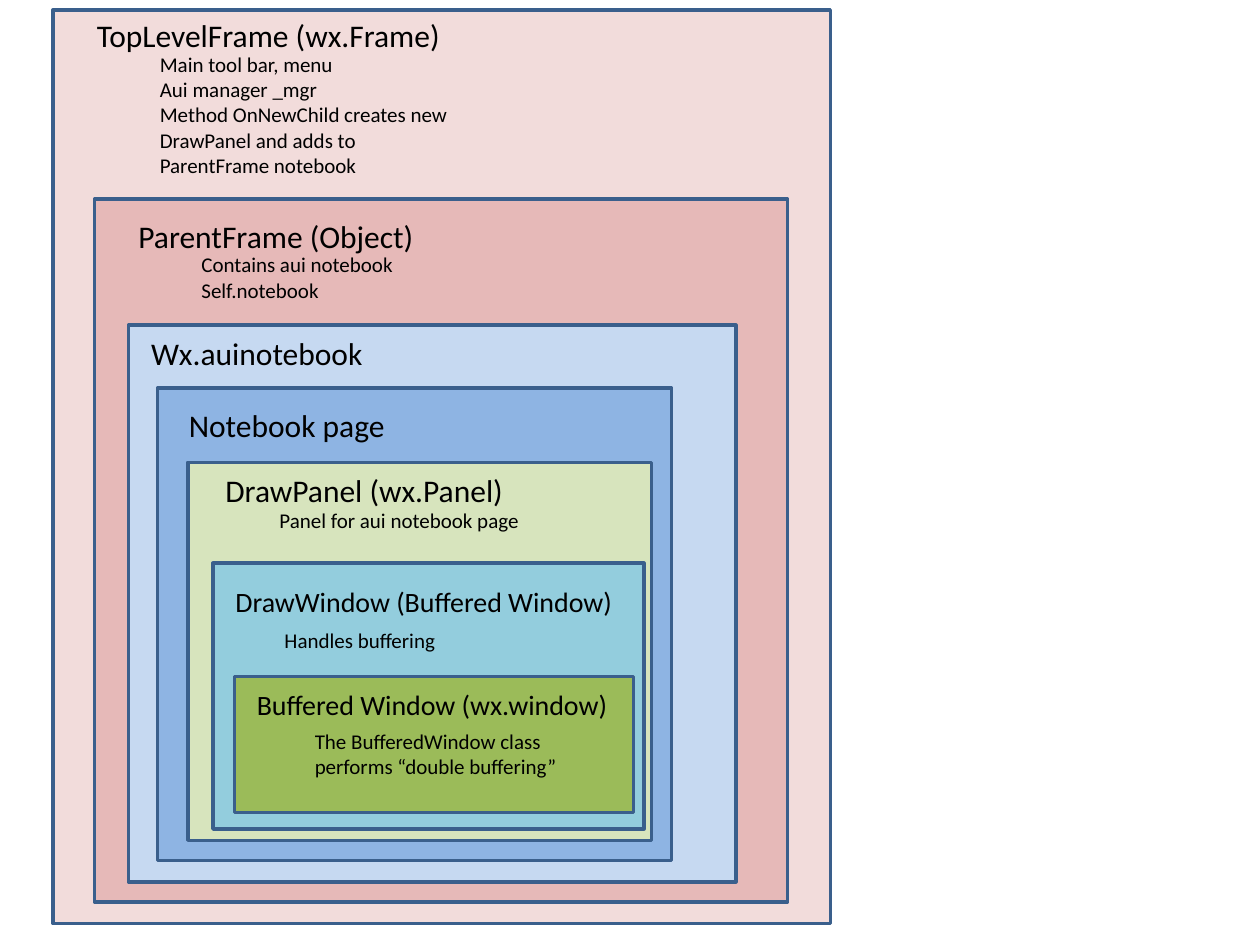
from pptx import Presentation
from pptx.dml.color import RGBColor
from pptx.enum.shapes import MSO_SHAPE
from pptx.enum.text import MSO_AUTO_SIZE
from pptx.util import Emu, Pt

EMU_PER_PX = 9144  # 100 px to the inch
FONT = "Calibri"
BLACK = RGBColor(0x00, 0x00, 0x00)
OUTLINE = RGBColor(0x3A, 0x5F, 0x8C)
PALE_ROSE = RGBColor(0xF2, 0xDC, 0xDB)
ROSE = RGBColor(0xE6, 0xB9, 0xB8)
PALE_BLUE = RGBColor(0xC6, 0xD9, 0xF1)
BLUE = RGBColor(0x8E, 0xB4, 0xE3)
PALE_GREEN = RGBColor(0xD7, 0xE4, 0xBD)
AQUA = RGBColor(0x93, 0xCD, 0xDD)
GREEN = RGBColor(0x9B, 0xBB, 0x59)

# From outermost to innermost: frame area, fill, then its texts as
# (area, font size, paragraphs)
FRAMES = [
    ((42, 8, 617, 725), PALE_ROSE, [
        ((67, 8, 317, 40), 18, ["TopLevelFrame (wx.Frame)"]),
        ((117, 36, 258, 111), 12, [
            "Main tool bar, menu",
            "Aui manager _mgr",
            "Method OnNewChild creates new DrawPanel and adds to ParentFrame notebook",
        ]),
    ]),
    ((75, 158, 550, 558), ROSE, [
        ((100, 167, 283, 40), 18, ["ParentFrame (Object)"]),
        ((150, 195, 175, 50), 12, ["Contains aui notebook", "Self.notebook"]),
    ]),
    ((102, 258, 482, 442), PALE_BLUE, [
        ((110, 260, 271, 40), 18, ["Wx.auinotebook"]),
    ]),
    ((125, 308, 408, 375), BLUE, [
        ((140, 317, 271, 40), 18, ["Notebook page"]),
    ]),
    ((149, 367, 368, 300), PALE_GREEN, [
        ((169, 369, 283, 40), 18, ["DrawPanel (wx.Panel)"]),
        ((212, 398, 233, 30), 12, ["Panel for aui notebook page"]),
    ]),
    ((169, 447, 342, 211), AQUA, [
        ((177, 459, 325, 37), 16, ["DrawWindow (Buffered Window)"]),
        ((216, 493, 233, 30), 12, ["Handles buffering"]),
    ]),
    ((186, 537, 317, 108), GREEN, [
        ((194, 541, 300, 37), 16, ["Buffered Window (wx.window)"]),
        ((240, 573, 233, 50), 12, ["The BufferedWindow class performs “double buffering”"]),
    ]),
]


def px(length):
    return Emu(length * EMU_PER_PX)


def add_frame(slide, area, color):
    frame = slide.shapes.add_shape(MSO_SHAPE.RECTANGLE, *map(px, area))
    frame.shadow.inherit = False
    frame.fill.solid()
    frame.fill.fore_color.rgb = color
    frame.line.color.rgb = OUTLINE
    frame.line.width = Pt(2)


def add_text(slide, area, size, lines):
    """Add an unfilled text box, so that close neighbours never cover each other."""
    text_frame = slide.shapes.add_textbox(*map(px, area)).text_frame
    text_frame.word_wrap = True
    text_frame.auto_size = MSO_AUTO_SIZE.SHAPE_TO_FIT_TEXT
    for index, line in enumerate(lines):
        paragraph = text_frame.add_paragraph() if index else text_frame.paragraphs[0]
        run = paragraph.add_run()
        run.text = line
        run.font.name = FONT
        run.font.size = Pt(size)
        run.font.color.rgb = BLACK


def main():
    presentation = Presentation()
    presentation.slide_width = px(1000)
    presentation.slide_height = px(750)
    blank_layout = presentation.slide_layouts.get_by_name("Blank")
    slide = presentation.slides.add_slide(blank_layout)
    for area, color, texts in FRAMES:
        add_frame(slide, area, color)
        for text_area, size, lines in texts:
            add_text(slide, text_area, size, lines)
    presentation.save("out.pptx")


if __name__ == "__main__":
    main()
